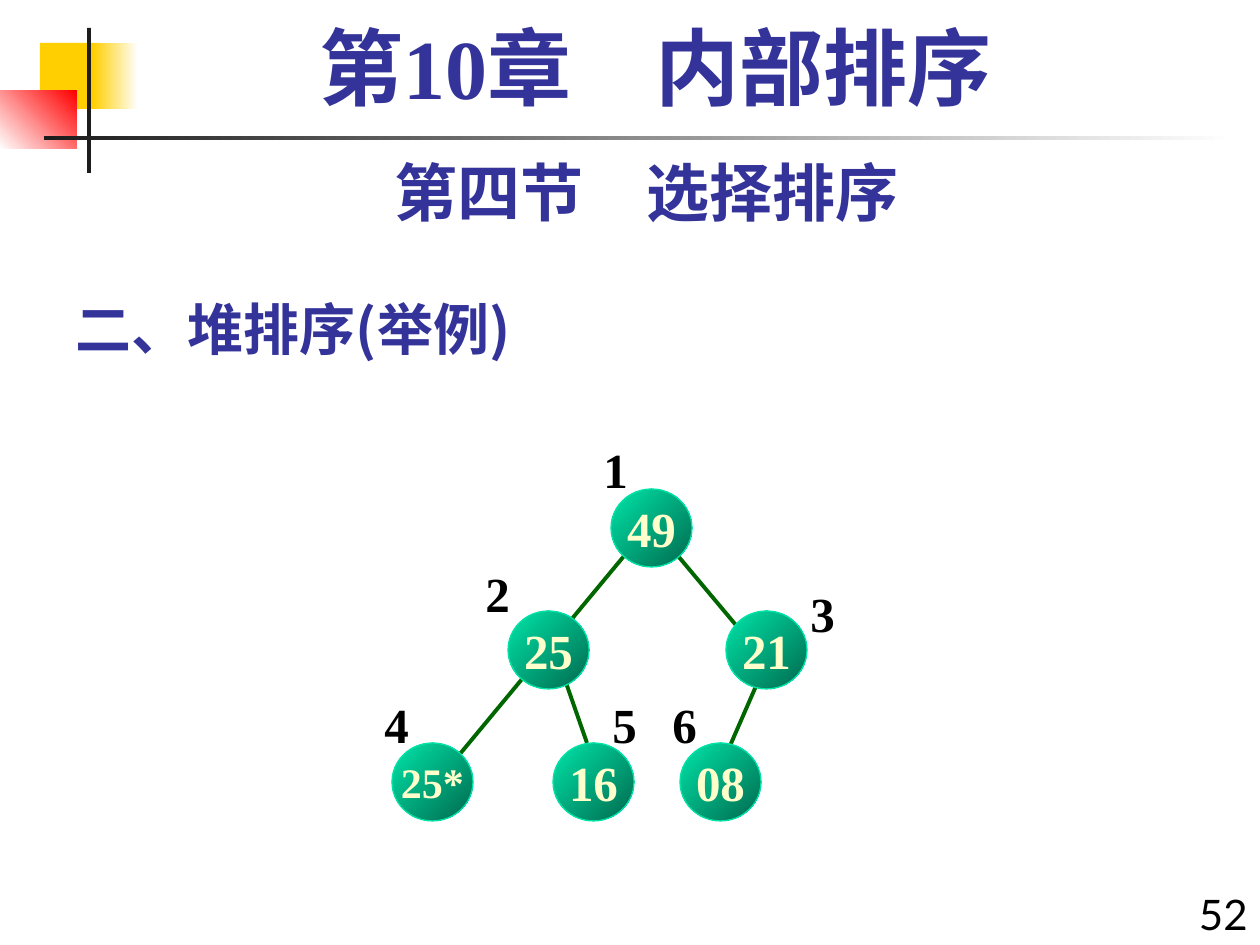
from pptx import Presentation
from pptx.dml.color import RGBColor
from pptx.enum.shapes import MSO_CONNECTOR, MSO_SHAPE
from pptx.enum.text import MSO_ANCHOR, MSO_AUTO_SIZE, PP_ALIGN
from pptx.oxml.ns import qn
from pptx.util import Pt

EMU_PER_PX = 914400 / 126
SERIF, SANS, CJK = "Times New Roman", "Lato", "Noto Sans CJK SC"

WHITE = RGBColor(0xFF, 0xFF, 0xFF)
BLACK = RGBColor(0, 0, 0)
CHARCOAL = RGBColor(0x1C, 0x1C, 0x1C)
YELLOW = RGBColor(0xFF, 0xCF, 0x01)
RED = RGBColor(0xFF, 0, 0)
NAVY = RGBColor(0x33, 0x33, 0x99)
CREAM = RGBColor(0xFF, 0xFF, 0xCC)
MINT = RGBColor(0, 0xE4, 0xA8)
DEEP_GREEN = RGBColor(0, 0x6A, 0x4E)
EDGE_GREEN = RGBColor(0, 0x66, 0)

# Content: boxes are (left, top, width, height) in px
DECORATIONS = [  # box, colours, counter-clockwise gradient angle
    ((40, 43, 60, 66), (YELLOW,), 0),
    ((93, 43, 45, 66), (YELLOW, WHITE), 0),
    ((0, 91, 77, 58), (WHITE, RED), 45),
    ((87, 28, 4, 145), (CHARCOAL,), 0),
    ((44, 136, 1191, 4), (CHARCOAL, WHITE), 0),
]
SECTION = ("二、堆排序(举例)", (63, 273, 788, 95))
HEADINGS = [  # text, box, font format, paragraph format
    ("52", (1176, 882, 84, 74),
     dict(size=Pt(24), name=SANS, bold=False), dict(alignment=PP_ALIGN.RIGHT)),
    ("第四节　选择排序", (63, 147, 1166, 88),
     dict(size=Pt(36), name=SANS, bold=True), dict(alignment=PP_ALIGN.CENTER)),
    ("第10章　内部排序", (84, 21, 1144, 105),
     dict(size=Pt(48), name=SERIF, bold=True),
     dict(alignment=PP_ALIGN.CENTER, line_spacing=0.9)),
]
HEADING_COLORS = [BLACK, NAVY, NAVY]
EDGES = [  # from x, y to x, y
    (760, 677, 726, 755),
    (668, 544, 761, 655),
    (564, 677, 587, 743),
    (634, 544, 450, 766),
]
NODE_SIZE, LABEL_SIZE = (81, 78), (49, 72)
NODE_ROWS, LEAF_LABEL_TOP = (489, 611, 743), 688
NODES = [  # value, level, left, label left, label top, in heap order
    ("49", 0, 611, 591, 433),
    ("25", 1, 508, 473, 557),
    ("21", 1, 726, 798, 577),
    ("25*", 2, 392, 372, LEAF_LABEL_TOP),
    ("16", 2, 553, 600, LEAF_LABEL_TOP),
    ("08", 2, 680, 660, LEAF_LABEL_TOP),
]


def px(*lengths):
    return [round(length * EMU_PER_PX) for length in lengths]


def set_text(shape, text, color, font_format, paragraph_format=None,
             anchor=MSO_ANCHOR.TOP, wrap=True):
    frame = shape.text_frame
    frame.auto_size = MSO_AUTO_SIZE.NONE
    frame.word_wrap = wrap
    frame.vertical_anchor = anchor
    paragraph = frame.paragraphs[0]
    for name, value in (paragraph_format or {}).items():
        setattr(paragraph, name, value)
    run = paragraph.add_run()
    run.text = text
    for name, value in font_format.items():
        setattr(run.font, name, value)
    run.font.color.rgb = color
    # East Asian font follows the latin one
    east_asian = run.font._element.makeelement(qn("a:ea"), {"typeface": CJK})
    run.font._element.find(qn("a:latin")).addnext(east_asian)


def add_filled(slide, kind, box, colors, angle):
    shape = slide.shapes.add_shape(kind, *px(*box))
    shape.shadow.inherit = False
    shape.line.fill.background()
    if len(colors) == 1:
        shape.fill.solid()
        shape.fill.fore_color.rgb = colors[0]
    else:
        shape.fill.gradient()
        shape.fill.gradient_angle = angle
        for stop, color in zip(shape.fill.gradient_stops, colors):
            stop.color.rgb = color
    return shape


def add_edge(slide, ends):
    edge = slide.shapes.add_connector(MSO_CONNECTOR.STRAIGHT, *px(*ends))
    edge.line.color.rgb = EDGE_GREEN
    edge.line.width = Pt(2.25)
    properties = edge._element.spPr
    properties.append(properties.makeelement(qn("a:effectLst"), {}))


def main():
    presentation = Presentation()
    presentation.slide_width, presentation.slide_height = px(1260, 945)
    slide = presentation.slides.add_slide(presentation.slide_layouts[5])

    # Corner decoration and rule
    for box, colors, angle in DECORATIONS:
        add_filled(slide, MSO_SHAPE.RECTANGLE, box, colors, angle)

    # Section title
    text, box = SECTION
    title = slide.shapes.title
    title.left, title.top, title.width, title.height = px(*box)
    set_text(title, text, NAVY, dict(size=Pt(32), name=CJK, bold=True),
             dict(alignment=PP_ALIGN.LEFT), MSO_ANCHOR.BOTTOM)

    # Page number and chapter headings
    for (text, box, font_format, paragraph_format), color in zip(HEADINGS, HEADING_COLORS):
        heading = slide.shapes.add_textbox(*px(*box))
        set_text(heading, text, color, font_format, paragraph_format)

    # Heap tree: edges behind, then nodes with their positions
    for ends in EDGES:
        add_edge(slide, ends)
    for index, (value, level, left, label_left, label_top) in enumerate(NODES, 1):
        node = add_filled(slide, MSO_SHAPE.OVAL, (left, NODE_ROWS[level], *NODE_SIZE),
                          (MINT, DEEP_GREEN), 315)
        node.line.color.rgb = MINT
        node.line.width = Pt(0.75)
        size = Pt(28 if len(value) == 2 else 24)
        set_text(node, value, CREAM, dict(size=size, name=SERIF, bold=True),
                 dict(alignment=PP_ALIGN.CENTER), MSO_ANCHOR.MIDDLE, wrap=False)
        label = slide.shapes.add_textbox(*px(label_left, label_top, *LABEL_SIZE))
        set_text(label, str(index), BLACK, dict(size=Pt(28), name=SERIF, bold=True),
                 wrap=False)

    presentation.save("out.pptx")


if __name__ == "__main__":
    main()
